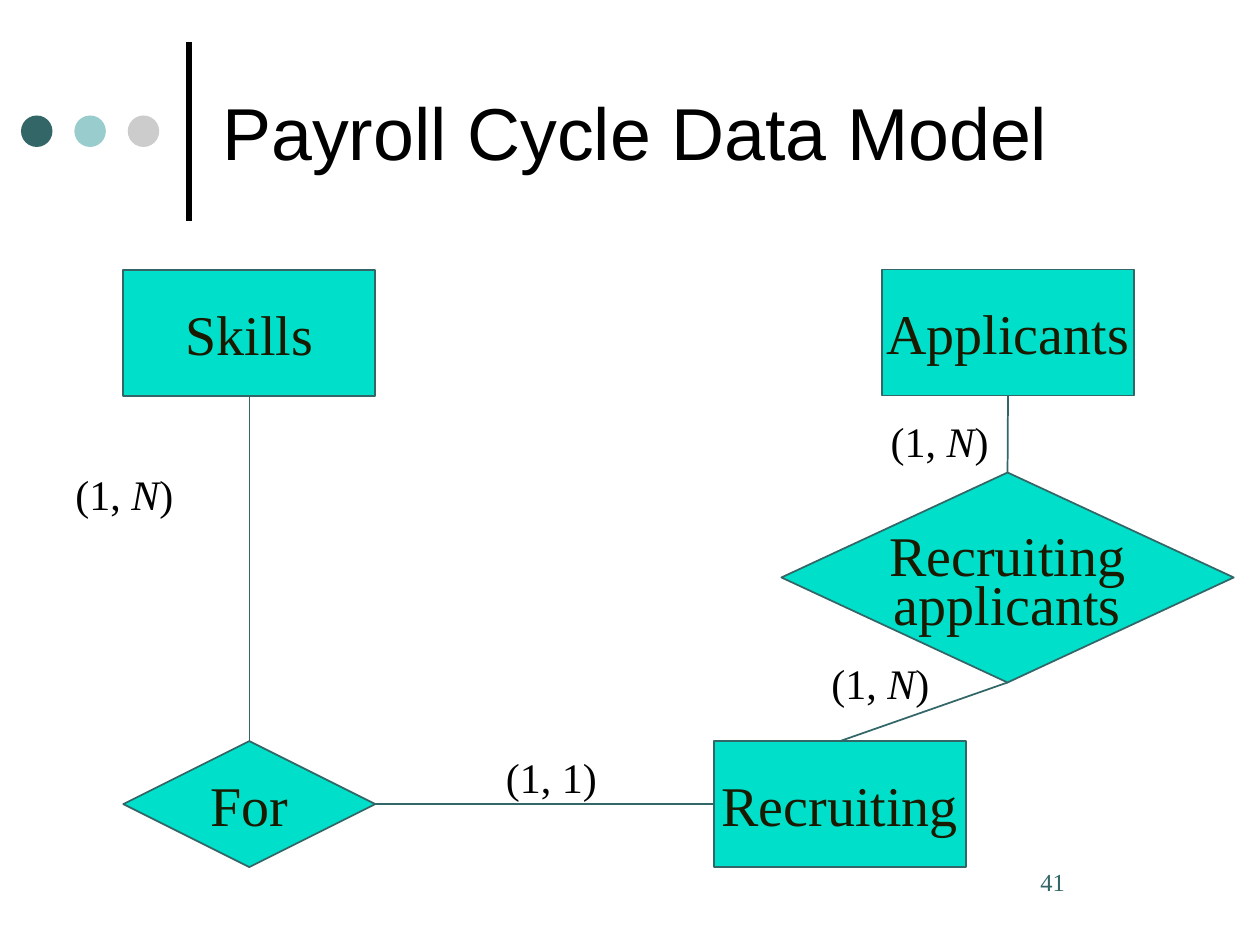
from lxml.etree import SubElement
from pptx import Presentation
from pptx.dml.color import RGBColor
from pptx.enum.shapes import MSO_CONNECTOR, MSO_SHAPE
from pptx.enum.text import MSO_ANCHOR, PP_ALIGN
from pptx.oxml.ns import qn
from pptx.util import Pt

SERIF = "Times New Roman"
TEAL = "336666"
AQUA = "00DFCA"
MANY = [("(1, ", False), ("N", True), (")", False)]


def color(code):
    return RGBColor.from_string(code)


def apply(item, values):
    for name, value in values.items():
        setattr(item, name, value)


class Sketch:
    box = {"word_wrap": False, "vertical_anchor": MSO_ANCHOR.MIDDLE,
           "margin_left": 0, "margin_right": 0,
           "margin_top": 0, "margin_bottom": 0}
    note = {"word_wrap": True, "vertical_anchor": MSO_ANCHOR.TOP,
            "margin_left": Pt(7.2), "margin_right": Pt(7.2),
            "margin_top": Pt(3.6), "margin_bottom": Pt(3.6)}

    def __init__(self, slide):
        self.slide = slide
        self.shapes = slide.shapes

    def words(self, para, runs, size, ink, face=SERIF):
        for text, slant in runs:
            run = para.add_run()
            run.text = text
            apply(run.font, {"name": face, "size": Pt(size), "italic": slant})
            run.font.color.rgb = color(ink)

    def shape(self, kind, area, fill, edge=None):
        item = self.shapes.add_shape(kind, *map(Pt, area))
        item.shadow.inherit = False
        item.fill.solid()
        item.fill.fore_color.rgb = color(fill)
        if edge:
            item.line.color.rgb = color(edge)
            item.line.width = Pt(1)
        else:
            item.line.fill.background()
        return item

    def node(self, kind, area, *lines):
        item = self.shape(kind, area, AQUA, TEAL)
        frame = item.text_frame
        apply(frame, self.box)
        for i, line in enumerate(lines):
            para = frame.add_paragraph() if i else frame.paragraphs[0]
            apply(para, {"alignment": PP_ALIGN.CENTER,
                         "line_spacing": 0.7 if i else 1.0})
            self.words(para, [(line, False)], 32, "1A1A00")
        return item

    def text(self, area, runs, size=24, ink="000000", face=SERIF,
             align=PP_ALIGN.LEFT, **extra):
        frame = self.shapes.add_textbox(*map(Pt, area)).text_frame
        apply(frame, {**self.note, **extra})
        para = frame.paragraphs[0]
        para.alignment = align
        self.words(para, runs, size, ink, face)

    def line(self, ends, ink=TEAL, width=1):
        item = self.shapes.add_connector(MSO_CONNECTOR.STRAIGHT, *map(Pt, ends))
        item.line.color.rgb = color(ink)
        item.line.width = Pt(width)
        SubElement(item._element.spPr, qn("a:effectLst"))
        return item

    def join(self, start, side, end, port):
        item = self.line((0, 0, 0, 0))
        item.begin_connect(start, side)
        item.end_connect(end, port)


def main():
    deck = Presentation()
    apply(deck, {"slide_width": Pt(720), "slide_height": Pt(540)})
    art = Sketch(deck.slides.add_slide(deck.slide_layouts[6]))

    art.line((108, 126, 108, 24), "000000", 3)
    for i, fill in enumerate((TEAL, "99CCCC", "CCCCCC")):
        art.shape(MSO_SHAPE.OVAL, (12 + 30.5 * i, 66, 18, 18), fill)
    art.text((120, 15, 552, 120), [("Payroll Cycle Data Model", False)],
             42, face="Arial", vertical_anchor=MSO_ANCHOR.MIDDLE)

    rect, gem = MSO_SHAPE.RECTANGLE, MSO_SHAPE.DIAMOND
    skills = art.node(rect, (70.5, 154.5, 144, 72), "Skills")
    hire = art.node(rect, (408, 423.5, 144, 72), "Recruiting")
    people = art.node(rect, (504, 154, 144, 72), "Applicants")
    match = art.node(gem, (446.5, 270, 258.5, 120), "Recruiting", "applicants")
    need = art.node(gem, (70.5, 423.5, 144, 72), "For")

    art.join(skills, 2, need, 0)
    art.join(need, 3, hire, 1)
    art.join(people, 2, match, 0)
    art.join(hire, 0, match, 2)

    for left, top, runs, align in (
            (36, 264, MANY, PP_ALIGN.LEFT),
            (282, 426, [("(1, 1)", False)], PP_ALIGN.LEFT),
            (468, 372, MANY, PP_ALIGN.LEFT),
            (498, 234, MANY, PP_ALIGN.CENTER)):
        art.text((left, top, 78, 36), runs, align=align)
    art.text((570, 492, 102, 36), [("41", False)], 14, TEAL,
             margin_left=Pt(24.5))
    deck.save("out.pptx")


if __name__ == "__main__":
    main()
